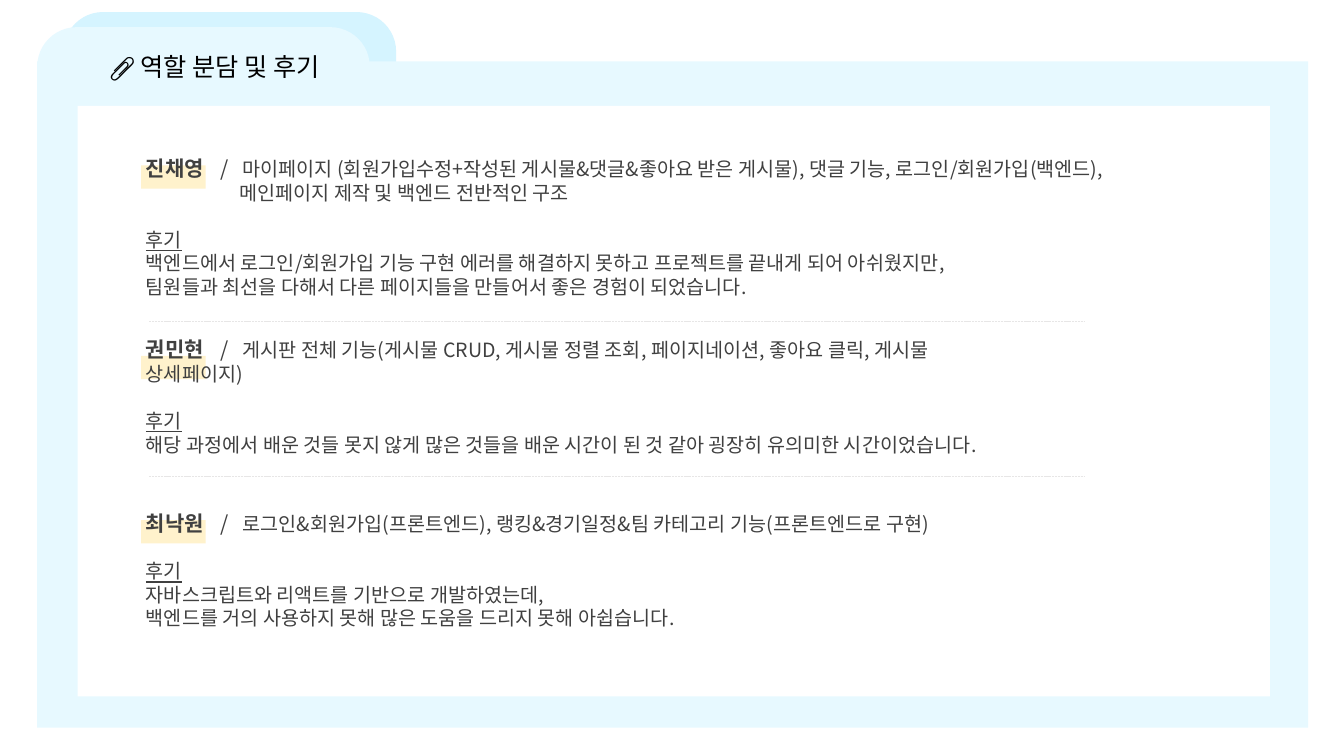
from dataclasses import dataclass

from lxml import etree
from pptx import Presentation
from pptx.dml.color import RGBColor
from pptx.enum import dml, shapes, text
from pptx.oxml import ns
from pptx.util import Pt


@dataclass(frozen=True)
class Theme:
    font: str = "Noto Sans CJK KR"
    back_tab: str = "D5F4FF"
    folder: str = "E7F9FF"
    paper: str = "FFFFFF"
    marker: str = "FFF2CC"
    divider: str = "E7E6E6"
    title_ink: str = "000000"
    ink: str = "404040"
    title_size: float = 18
    name_size: float = 15
    body_size: float = 14
    line_pitch: float = 16.8
    slash_tab: float = 53
    role_tab: float = 69


class FolderPage:
    def __init__(self, page, theme):
        self.page = page
        self.theme = theme

    def panel(self, left, top, width, height, color, corner=None):
        kind = shapes.MSO_SHAPE.RECTANGLE if corner is None else shapes.MSO_SHAPE.ROUNDED_RECTANGLE
        shape = self.page.shapes.add_shape(kind, Pt(left), Pt(top), Pt(width), Pt(height))
        if corner is not None:
            shape.adjustments[0] = corner
        shape.shadow.inherit = False
        shape.fill.solid()
        shape.fill.fore_color.rgb = RGBColor.from_string(color)
        shape.line.fill.background()

    def divider(self, left, right, y):
        line = self.page.shapes.add_connector(
            shapes.MSO_CONNECTOR.STRAIGHT, Pt(left), Pt(y), Pt(right), Pt(y))
        line.line.color.rgb = RGBColor.from_string(self.theme.divider)
        line.line.width = Pt(0.5)
        line.line.dash_style = dml.MSO_LINE.SQUARE_DOT
        etree.SubElement(line._element.spPr, ns.qn("a:effectLst"))

    def style(self, para, size, color):
        font = para.font
        font.size = Pt(size)
        font.color.rgb = RGBColor.from_string(color)
        font.name = self.theme.font
        # East Asian typeface for the Korean letters
        latin = font._element.find(ns.qn("a:latin"))
        latin.addnext(latin.makeelement(ns.qn("a:ea"), {"typeface": self.theme.font}))

    def title(self, wording, left, top, width, height):
        box = self.page.shapes.title
        box.left, box.top, box.width, box.height = Pt(left), Pt(top), Pt(width), Pt(height)
        frame = box.text_frame
        frame.auto_size = text.MSO_AUTO_SIZE.NONE
        frame.vertical_anchor = text.MSO_ANCHOR.MIDDLE
        para = frame.paragraphs[0]
        para.text = wording
        para.alignment = text.PP_ALIGN.CENTER
        self.style(para, self.theme.title_size, self.theme.title_ink)
        # Bring the title in front of the folder
        self.page.shapes._spTree.append(box._element)

    def body_para(self, para, before=0):
        para.line_spacing = Pt(self.theme.line_pitch)
        para.space_before = Pt(before)
        self.style(para, self.theme.body_size, self.theme.ink)

    def member(self, name, roles, review, left, top, width, height):
        theme = self.theme
        box = self.page.shapes.add_textbox(Pt(left), Pt(top), Pt(width), Pt(height))
        frame = box.text_frame
        frame.word_wrap = True
        frame.vertical_anchor = text.MSO_ANCHOR.MIDDLE

        # Name, slash and first role line, set on two tab stops
        para = frame.paragraphs[0]
        tabs = etree.SubElement(para._p.get_or_add_pPr(), ns.qn("a:tabLst"))
        for stop in (theme.slash_tab, theme.role_tab):
            etree.SubElement(tabs, ns.qn("a:tab"), pos=str(Pt(stop)), algn="l")
        self.body_para(para)
        for wording, bold, size in ((name, True, theme.name_size),
                                    ("\t/\t", False, theme.name_size),
                                    (roles[0], False, theme.body_size)):
            span = para.add_run()
            span.text = wording
            span.font.bold = bold
            span.font.size = Pt(size)

        # Further role lines, indented below the first
        for wording in roles[1:]:
            para = frame.add_paragraph()
            para.text = wording
            para._p.get_or_add_pPr().set("marL", str(Pt(theme.role_tab - 2)))
            self.body_para(para)

        # Review heading and its lines
        heading = frame.add_paragraph()
        heading.text = "후기"
        self.body_para(heading, before=theme.line_pitch)
        heading.font.underline = True
        for wording in review:
            para = frame.add_paragraph()
            para.text = wording
            self.body_para(para)


# Each member: name, role lines, review lines, top, width, height, marker top
MEMBERS = (
    ("진채영",
     ("마이페이지 (회원가입수정+작성된 게시물&댓글&좋아요 받은 게시물), 댓글 기능, 로그인/회원가입(백엔드),",
      "메인페이지 제작 및 백엔드 전반적인 구조"),
     ("백엔드에서 로그인/회원가입 기능 구현 에러를 해결하지 못하고 프로젝트를 끝내게 되어 아쉬웠지만,",
      "팀원들과 최선을 다해서 다른 페이지들을 만들어서 좋은 경험이 되었습니다."),
     110.9, 765.4, 103.7, 118.1),
    ("권민현",
     ("게시판 전체 기능(게시물 CRUD, 게시물 정렬 조회, 페이지네이션, 좋아요 클릭, 게시물 상세페이지)",),
     ("해당 과정에서 배운 것들 못지 않게 많은 것들을 배운 시간이 된 것 같아 굉장히 유의미한 시간이었습니다.",),
     248.4, 638.6, 70.6, 254.2),
    ("최낙원",
     ("로그인&회원가입(프론트엔드), 랭킹&경기일정&팀 카테고리 기능(프론트엔드로 구현)",),
     ("자바스크립트와 리액트를 기반으로 개발하였는데,",
      "백엔드를 거의 사용하지 못해 많은 도움을 드리지 못해 아쉽습니다."),
     359.3, 638.6, 97.2, 371.5),
)


def main():
    deck = Presentation()
    deck.slide_width, deck.slide_height = Pt(960), Pt(540)
    theme = Theme()
    folder = FolderPage(deck.slides.add_slide(deck.slide_layouts[5]), theme)

    # Folder with two tabs and a sheet of paper
    folder.panel(45.4, 8.6, 237.6, 70.6, theme.back_tab, corner=0.4)
    folder.panel(26.6, 19.4, 237.6, 70.6, theme.folder, corner=0.4)
    folder.panel(26.6, 43.9, 907.9, 475.9, theme.folder)
    folder.title("📎 역할 분담 및 후기", 34.6, 35.3, 237.6, 23.8)
    folder.panel(55.4, 75.6, 851.8, 421.9, theme.paper)

    # Dividers between members
    for y in (229.7, 340.6):
        folder.divider(106.6, 774.7, y)

    # Members with highlighted names
    for name, roles, review, top, width, height, marker_top in MEMBERS:
        folder.panel(100.8, marker_top, 46.1, 16.6, theme.marker)
        folder.member(name, roles, review, 97.2, top, width, height)

    deck.save("out.pptx")


if __name__ == "__main__":
    main()
